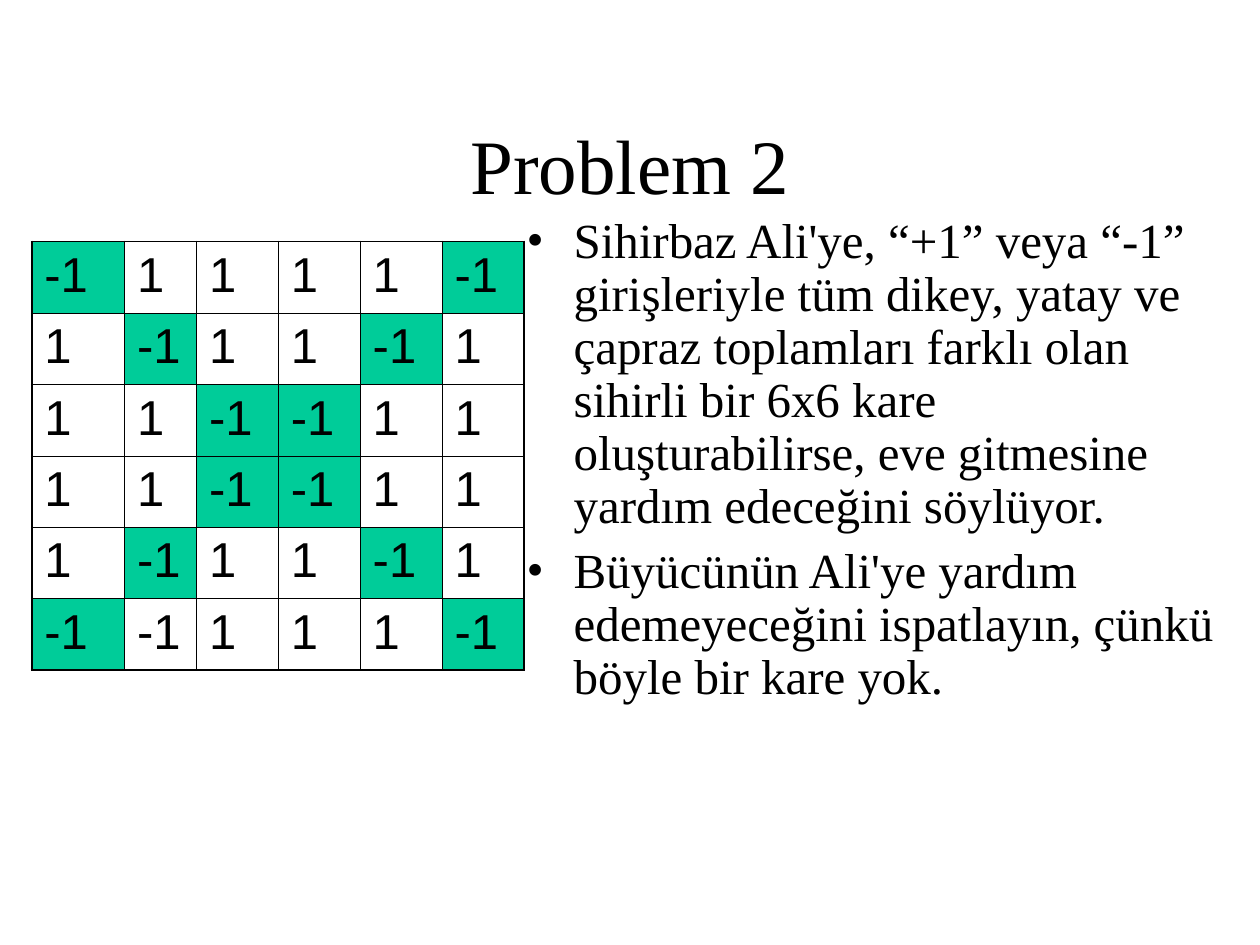
import lxml.etree
import pptx
import pptx.dml.color
import pptx.enum.text
import pptx.oxml.ns
import pptx.util
from pptx.util import Cm

BLACK = pptx.dml.color.RGBColor(0x00, 0x00, 0x00)
GREEN = pptx.dml.color.RGBColor(0x00, 0xCC, 0x99)
SERIF = "Times New Roman"
SANS = "Arial"

TITLE = "Problem 2"
STATEMENTS = [
    "Sihirbaz Ali'ye, “+1” veya “-1” girişleriyle tüm dikey, yatay ve çapraz "
    "toplamları farklı olan sihirli bir 6x6 kare oluşturabilirse, eve gitmesine "
    "yardım edeceğini söylüyor.",
    "Büyücünün Ali'ye yardım edemeyeceğini ispatlayın, çünkü böyle bir kare yok.",
]
SQUARE = [
    [-1, 1, 1, 1, 1, -1],
    [1, -1, 1, 1, -1, 1],
    [1, 1, -1, -1, 1, 1],
    [1, 1, -1, -1, 1, 1],
    [1, -1, 1, 1, -1, 1],
    [-1, -1, 1, 1, 1, -1],
]
COLUMN_WIDTHS = [Cm(1.87), Cm(1.45)] + [Cm(1.65)] * 4
ROW_HEIGHT = Cm(1.44)
THIN, THICK = pptx.util.Pt(0.45), pptx.util.Pt(1.08)


def format_runs(paragraph, font_name, size):
    for run in paragraph.runs:
        run.font.name = font_name
        run.font.size = pptx.util.Pt(size)
        run.font.color.rgb = BLACK


def place(shape, left, top, width, height):
    shape.left, shape.top, shape.width, shape.height = left, top, width, height


def add_element(parent, tag, **attributes):
    element = lxml.etree.SubElement(parent, pptx.oxml.ns.qn(tag))
    for name, value in attributes.items():
        element.set(name, str(value))
    return element


def fill_title(shape, left, top, width, height):
    place(shape, left, top, width, height)
    text_frame = shape.text_frame
    text_frame.text = TITLE
    text_frame.auto_size = pptx.enum.text.MSO_AUTO_SIZE.NONE
    text_frame.vertical_anchor = pptx.enum.text.MSO_ANCHOR.MIDDLE
    paragraph = text_frame.paragraphs[0]
    paragraph.alignment = pptx.enum.text.PP_ALIGN.CENTER
    format_runs(paragraph, SERIF, 44)


def fill_statements(shape, left, top, width, height):
    place(shape, left, top, width, height)
    text_frame = shape.text_frame
    text_frame.text = "\n".join(STATEMENTS)
    text_frame.auto_size = pptx.enum.text.MSO_AUTO_SIZE.NONE
    for paragraph in text_frame.paragraphs:
        paragraph.line_spacing = 0.9
        paragraph.space_before = pptx.util.Pt(7)
        format_runs(paragraph, SERIF, 28)
        properties = paragraph._p.get_or_add_pPr()
        indent = Cm(0.95)
        properties.set("marL", str(indent))
        properties.set("indent", str(-indent))
        add_element(properties, "a:buFont", typeface=SERIF)
        add_element(properties, "a:buChar", char="•")


def add_borders(cell, row, column):
    """Thick lines on the outside of the square, thin lines inside."""
    last = len(SQUARE) - 1
    on_edge = {
        "a:lnL": column == 0,
        "a:lnR": column == last,
        "a:lnT": row == 0,
        "a:lnB": row == last,
    }
    properties = cell._tc.get_or_add_tcPr()
    for tag, outer in on_edge.items():
        line = add_element(properties, tag, w=THICK if outer else THIN)
        add_element(add_element(line, "a:solidFill"), "a:srgbClr", val=BLACK)


def add_square(slide, left, top):
    """Table of the 6x6 square with both diagonals coloured."""
    count = len(SQUARE)
    table = slide.shapes.add_table(
        count, count, left, top, sum(COLUMN_WIDTHS), ROW_HEIGHT * count
    ).table
    table.first_row = False
    table.horz_banding = False
    for column, width in zip(table.columns, COLUMN_WIDTHS):
        column.width = width
    for row, values in enumerate(SQUARE):
        table.rows[row].height = ROW_HEIGHT
        for column, value in enumerate(values):
            cell = table.cell(row, column)
            cell.text_frame.text = str(value)
            paragraph = cell.text_frame.paragraphs[0]
            paragraph.space_before = pptx.util.Pt(7)
            format_runs(paragraph, SANS, 28)
            add_borders(cell, row, column)
            if column in (row, count - 1 - row):
                cell.fill.solid()
                cell.fill.fore_color.rgb = GREEN
            else:
                cell.fill.background()


def main():
    presentation = pptx.Presentation()
    presentation.slide_width = Cm(25.4)
    presentation.slide_height = Cm(19.05)
    slide = presentation.slides.add_slide(presentation.slide_layouts[1])
    fill_title(slide.shapes.title, Cm(1.9), Cm(2.24), Cm(21.6), Cm(2.1))
    fill_statements(slide.placeholders[1], Cm(10.36), Cm(4.24), Cm(14.53), Cm(11.43))
    add_square(slide, Cm(0.64), Cm(4.87))
    presentation.save("out.pptx")


if __name__ == "__main__":
    main()
